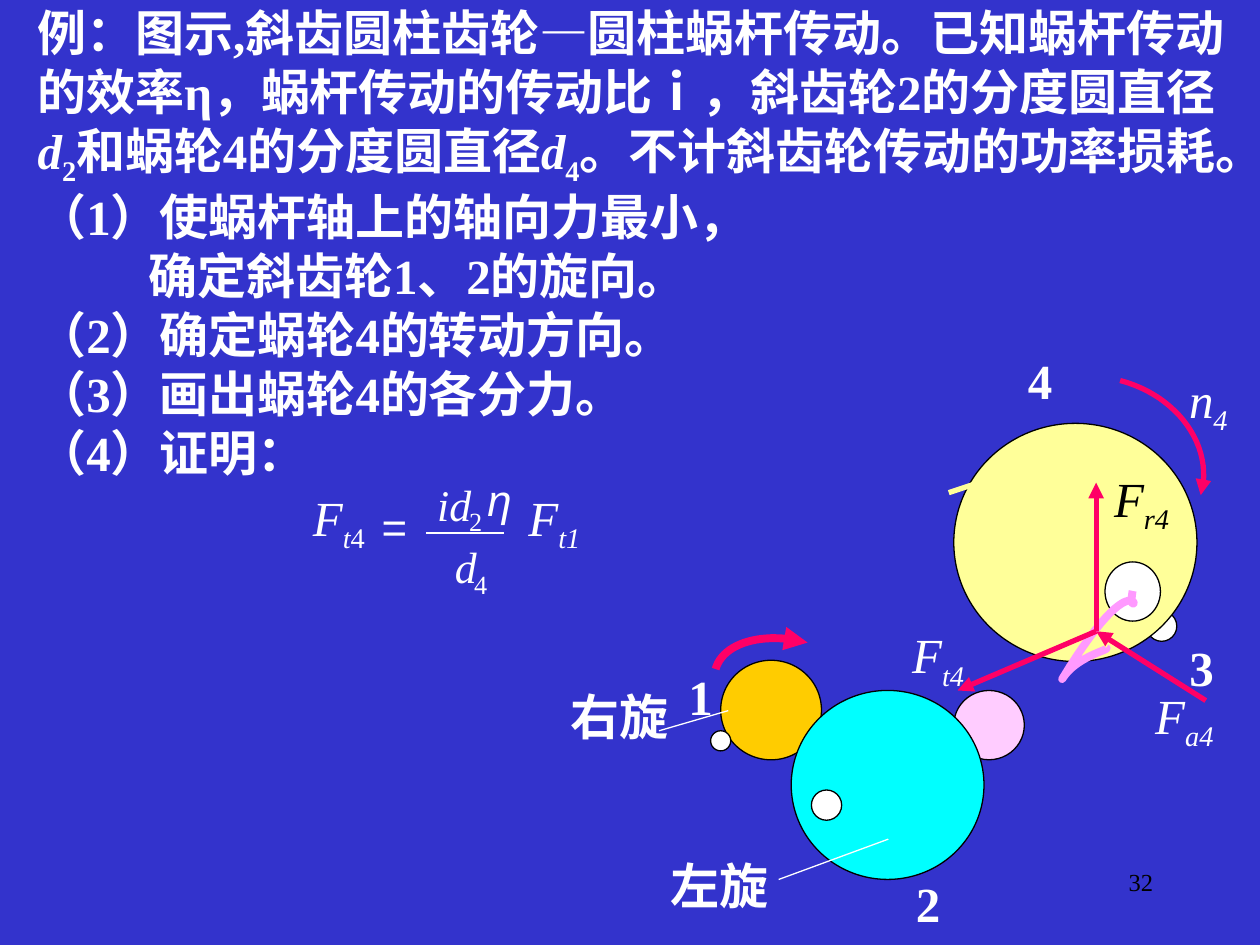
import pptx
import pptx.dml.color
import pptx.enum.shapes
import pptx.enum.text
import pptx.oxml
import pptx.oxml.ns
import pptx.util

Inches = pptx.util.Inches
Align = pptx.enum.text.PP_ALIGN
WHITE, BLACK, RED = "FFFFFF", "000000", "FF0066"


def paint(color_format, color):
    color_format.rgb = pptx.dml.color.RGBColor.from_string(color)


def add_runs(paragraph, runs, size=28, color=WHITE, font="Times New Roman"):
    for text, style in runs:
        run = paragraph.add_run()
        run.text = text
        run.font.name = font
        run.font.size = pptx.util.Pt(size)
        run.font.bold = "b" in style
        run.font.italic = "i" in style
        paint(run.font.color, color)
        if "s" in style:
            run.font._element.set("baseline", "-25000")


presentation = pptx.Presentation()
presentation.slide_width = Inches(10)
presentation.slide_height = Inches(7.5)
slide = presentation.slides.add_slide(presentation.slide_layouts[6])
slide.background.fill.solid()
paint(slide.background.fill.fore_color, "3333CC")

problem = [
    (0, [("例：图示,斜齿圆柱齿轮—圆柱蜗杆传动。已知蜗杆传动的效率η，蜗杆传动的传动比ｉ，斜齿轮2的分度圆直径", "b"),
         ("d", "bi"), ("2", "bs"), ("和蜗轮4的分度圆直径", "b"), ("d", "bi"), ("4", "bs"),
         ("。不计斜齿轮传动的功率损耗。", "b")]),
    (0, [("（1）使蜗杆轴上的轴向力最小，", "b")]),
    (0.88, [("确定斜齿轮1、2的旋向。", "b")]),
    (0, [("（2）确定蜗轮4的转动方向。", "b")]),
    (0, [("（3）画出蜗轮4的各分力。", "b")]),
    (0, [("（4）证明：", "b")]),
]
text_box = slide.shapes.add_textbox(Inches(0.2), Inches(-0.03), Inches(9.76), Inches(4.37))
text_box.text_frame.word_wrap = True
for index, (indent, runs) in enumerate(problem):
    paragraph = text_box.text_frame.add_paragraph() if index else text_box.text_frame.paragraphs[0]
    paragraph._p.get_or_add_pPr().set("marL", str(Inches(indent)))
    add_runs(paragraph, runs)

wheels = [
    (7.73, 3.75, 0.44, 0.47, WHITE),
    (6.2, 5.48, 0.16, 0.16, WHITE),
    (5.72, 5.24, 0.8, 0.79, "FFCC00"),
    (9.1, 4.85, 0.24, 0.24, WHITE),
    (7.57, 5.48, 0.56, 0.55, "FFCCFF"),
    (7.57, 3.36, 1.93, 1.89, "FFFF99"),
    (7.25, 5.87, 0.24, 0.24, WHITE),
    (6.28, 5.48, 1.53, 1.5, "00FFFF"),
    (6.44, 6.27, 0.24, 0.24, WHITE),
    (5.64, 5.8, 0.16, 0.16, WHITE),
    (8.77, 4.46, 0.44, 0.47, WHITE),
]
for left, top, width, height, color in wheels:
    wheel = slide.shapes.add_shape(
        pptx.enum.shapes.MSO_SHAPE.OVAL, Inches(left), Inches(top), Inches(width), Inches(height))
    wheel.shadow.inherit = False
    wheel.fill.solid()
    paint(wheel.fill.fore_color, color)
    paint(wheel.line.color, BLACK)
    wheel.line.width = pptx.util.Pt(0.75)

strokes = []
curves = [
    ([(5.68, 5.31), (5.74, 5.1), (6.06, 5.01), (6.41, 5.1)], RED, 4.5, True),
    ([(8.78, 5.14), (8.82, 5.16), (8.55, 5.2), (8.43, 5.39), (8.94, 4.55), (9.03, 4.81),
      (8.99, 4.79), (8.98, 4.78), (8.98, 4.74), (8.99, 4.69)], "FF99FF", 4.5, False),
    ([(8.89, 3.02), (9.35, 3.14), (9.64, 3.55), (9.53, 3.93)], RED, 3, True),
]
steps = 24
for controls, color, width, arrow in curves:
    points = []
    for first in range(0, len(controls) - 1, 3):
        for step in range(1, steps + 1):
            t = step / steps
            weights = ((1 - t) ** 3, 3 * t * (1 - t) ** 2, 3 * t ** 2 * (1 - t), t ** 3)
            points.append([
                Inches(sum(weight * control[axis] for weight, control in zip(weights, controls[first:first + 4])))
                for axis in (0, 1)])
    builder = slide.shapes.build_freeform(Inches(controls[0][0]), Inches(controls[0][1]))
    builder.add_line_segments(points, close=False)
    curve = builder.convert_to_shape()
    curve.fill.background()
    strokes.append((curve, color, width, arrow))

lines = [
    (7.53, 3.91, 8.01, 3.75, "FFFF99", 3, False),
    (3.38, 4.23, 4, 4.23, WHITE, 1.25, False),
    (5.23, 5.8, 5.78, 5.64, WHITE, 0.75, False),
    (6.18, 6.98, 7.05, 6.66, WHITE, 0.75, False),
    (9.57, 5.56, 8.7, 5.01, RED, 3, True),
    (8.7, 5.01, 7.6, 5.48, RED, 3, True),
    (8.7, 5.01, 8.7, 3.83, RED, 3, True),
]
for start_x, start_y, end_x, end_y, color, width, arrow in lines:
    connector = slide.shapes.add_connector(
        pptx.enum.shapes.MSO_CONNECTOR.STRAIGHT,
        Inches(start_x), Inches(start_y), Inches(end_x), Inches(end_y))
    strokes.append((connector, color, width, arrow))

for shape, color, width, arrow in strokes:
    paint(shape.line.color, color)
    shape.line.width = pptx.util.Pt(width)
    properties = shape._element.spPr
    if arrow:
        outline = properties.find(pptx.oxml.ns.qn("a:ln"))
        outline.append(pptx.oxml.parse_xml(
            f'<a:tailEnd {pptx.oxml.ns.nsdecls("a")} type="triangle"/>'))
    properties.append(pptx.oxml.parse_xml(f'<a:effectLst {pptx.oxml.ns.nsdecls("a")}/>'))

labels = [
    (5.08, 5.24, 0.96, 0.57, [("1", "b")], WHITE),
    (7.17, 6.88, 0.39, 0.57, [("2", "b")], WHITE),
    (8.06, 2.73, 0.39, 0.57, [("4", "b")], WHITE),
    (9.34, 5.01, 0.39, 0.57, [("3", "b")], WHITE),
    (4.29, 5.4, 1.26, 0.57, [("右旋", "b")], WHITE),
    (5.08, 6.74, 1.26, 0.57, [("左旋", "b")], WHITE),
    (2.17, 3.82, 1.04, 0.63, [("F", "i"), ("t", "is"), ("4", "s")], WHITE),
    (3.88, 3.82, 1.04, 0.63, [("F", "i"), ("t1", "is")], WHITE),
    (9.24, 2.88, 0.7, 0.63, [("n", "i"), ("4", "is")], WHITE),
    (7.04, 4.91, 0.81, 0.63, [("F", "i"), ("t4", "is")], WHITE),
    (8.97, 5.39, 0.86, 0.63, [("F", "i"), ("a4", "is")], WHITE),
    (8.64, 3.67, 0.84, 0.63, [("F", "i"), ("r4", "is")], BLACK),
]
for left, top, width, height, runs, color in labels:
    text_box = slide.shapes.add_textbox(Inches(left), Inches(top), Inches(width), Inches(height))
    text_box.text_frame.word_wrap = False
    paragraph = text_box.text_frame.paragraphs[0]
    paragraph.alignment = Align.CENTER
    add_runs(paragraph, runs, color=color)

formula_parts = [
    (3.72, 4.01, 0.11, 0.25, "2", "", 15, "Times New Roman"),
    (3.76, 4.51, 0.11, 0.25, "4", "", 15, "Times New Roman"),
    (3.47, 3.79, 0.27, 0.42, "id", "i", 25, "Times New Roman"),
    (3.61, 4.28, 0.17, 0.42, "d", "i", 25, "Times New Roman"),
    (3.86, 3.75, 0.21, 0.42, "η", "i", 25, "Arial"),
    (2.99, 3.97, 0.28, 0.42, "=", "", 25, "Arial"),
]
for left, top, width, height, text, style, size, font in formula_parts:
    text_box = slide.shapes.add_textbox(Inches(left), Inches(top), Inches(width), Inches(height))
    frame = text_box.text_frame
    frame.word_wrap = False
    frame.margin_left = frame.margin_right = frame.margin_top = frame.margin_bottom = 0
    frame.paragraphs[0].alignment = Align.CENTER
    add_runs(frame.paragraphs[0], [(text, style)], size, font=font)

page_number = slide.shapes.add_textbox(Inches(7.17), Inches(6.83), Inches(2.08), Inches(0.5))
page_number.text_frame.word_wrap = True
page_number.text_frame.paragraphs[0].alignment = Align.RIGHT
add_runs(page_number.text_frame.paragraphs[0], [("32", "")], 14, BLACK)

presentation.save("out.pptx")
